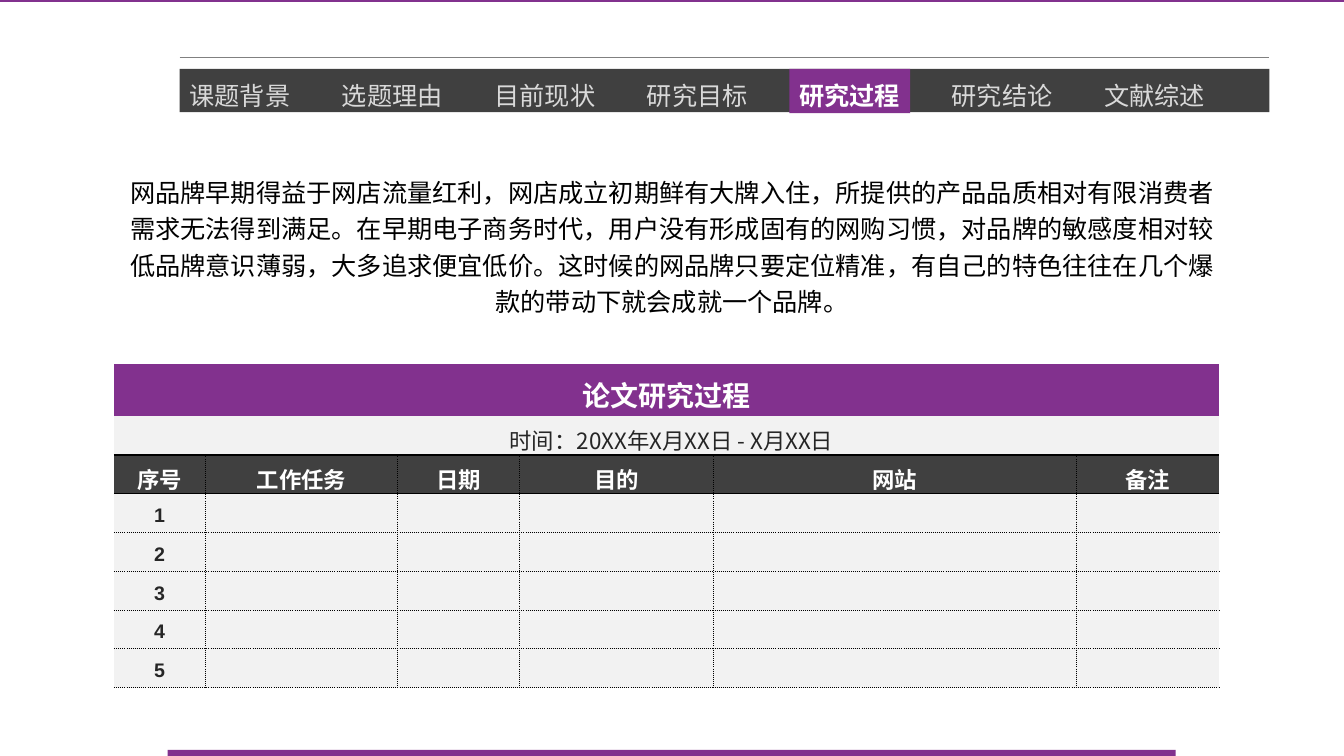
from lxml.etree import SubElement
from pptx import Presentation
from pptx.dml.color import RGBColor
from pptx.enum.shapes import MSO_CONNECTOR, MSO_SHAPE
from pptx.enum.text import MSO_ANCHOR, PP_ALIGN
from pptx.oxml import parse_xml
from pptx.oxml.ns import nsdecls, qn
from pptx.util import Pt

HUES = {"purple": "82318E", "dark": "404040", "pale": "F2F2F2", "rule": "808080",
        "tab": "D9D9D9", "white": "FFFFFF", "ink": "262626", "black": "000000"}
CJK = "Noto Sans CJK JP"
TABS = ["课题背景", "选题理由", "目前现状", "研究目标", "研究过程", "研究结论", "文献综述"]
NOW = "研究过程"
BODY = ("网品牌早期得益于网店流量红利，网店成立初期鲜有大牌入住，所提供的产品品质相对有限消费者"
        "需求无法得到满足。在早期电子商务时代，用户没有形成固有的网购习惯，对品牌的敏感度相对较"
        "低品牌意识薄弱，大多追求便宜低价。这时候的网品牌只要定位精准，有自己的特色往往在几个爆"
        "款的带动下就会成就一个品牌。")
HEADS = ["序号", "工作任务", "日期", "目的", "网站", "备注"]
WIDTHS = [65.2, 137.4, 87.1, 138.4, 259.5, 101.6]
DOT, BOLD = (0.5, "sysDot"), (1, "solid")


def rgb(name):
    """Return the colour held under a name."""
    return RGBColor.from_string(HUES[name])


def write(frame, text, size=18, hue="black", bold=False, font="Arial"):
    """Put one centred paragraph into a text frame."""
    para = frame.paragraphs[0]
    para.alignment = PP_ALIGN.CENTER
    para.line_spacing = 1.2
    run = para.add_run()
    run.text = text
    run.font.size = Pt(size)
    run.font.bold = bold
    run.font.color.rgb = rgb(hue)
    run.font.name = font
    SubElement(run._r.get_or_add_rPr(), qn("a:ea"), typeface=CJK)


def edge(cell, **lines):
    """Draw the given cell borders and clear the others."""
    props = cell._tc.get_or_add_tcPr()
    for i, side in enumerate("LRTB"):
        line = lines.get(side)
        if line:
            width, dash = line
            body = (f'<a:solidFill><a:srgbClr val="{HUES["black"]}"/></a:solidFill>'
                    f'<a:prstDash val="{dash}"/>')
        else:
            width, body = 0, "<a:noFill/>"
        props.insert(i, parse_xml(
            f'<a:ln{side} {nsdecls("a")} w="{Pt(width)}">{body}</a:ln{side}>'))


class Page:
    """Hold the slide and the ways to draw on it."""

    def __init__(self, deck):
        """Add a blank slide."""
        self.shapes = deck.slides.add_slide(deck.slide_layouts[6]).shapes

    def bar(self, x, y, w, h, hue):
        """Draw a plain filled rectangle."""
        shape = self.shapes.add_shape(MSO_SHAPE.RECTANGLE, Pt(x), Pt(y), Pt(w), Pt(h))
        shape.shadow.inherit = False
        shape.fill.solid()
        shape.fill.fore_color.rgb = rgb(hue)
        shape.line.fill.background()
        return shape

    def rule(self, x, y, w):
        """Draw a thin level line."""
        line = self.shapes.add_connector(MSO_CONNECTOR.STRAIGHT, Pt(x), Pt(y), Pt(x + w), Pt(y))
        line.line.color.rgb = rgb("rule")
        line.line.width = Pt(0.5)
        SubElement(line._element.spPr, qn("a:effectLst"))

    def label(self, x, y, w, h, text, wrap=True, **style):
        """Add a text box."""
        frame = self.shapes.add_textbox(Pt(x), Pt(y), Pt(w), Pt(h)).text_frame
        frame.word_wrap = wrap
        write(frame, text, **style)

    def tab(self, x, y, w, h, text):
        """Add one entry of the menu, lit up when current."""
        if text == NOW:
            frame = self.bar(x, y, w, h, "purple").text_frame
            frame.word_wrap = False
            frame.vertical_anchor = MSO_ANCHOR.TOP
            write(frame, text, hue="white", bold=True)
        else:
            self.label(x, y, w, h, text, wrap=False, hue="tab")

    def cell(self, cell, back, text="", left=0.7, **style):
        """Fill a table cell and write its text."""
        cell.fill.solid()
        cell.fill.fore_color.rgb = rgb(back)
        cell.vertical_anchor = MSO_ANCHOR.MIDDLE
        cell.margin_left = Pt(left)
        cell.margin_right = cell.margin_top = Pt(0.7)
        cell.margin_bottom = Pt(0)
        if text:
            write(cell.text_frame, text, **style)

    def plan(self, x, y, tall, low, count):
        """Build the work plan table with numbered empty rows."""
        cols, rows = len(WIDTHS), count + 3
        frame = self.shapes.add_table(rows, cols, Pt(x), Pt(y), Pt(sum(WIDTHS)),
                                      Pt(tall + low * (rows - 1)))
        grid = frame.table
        for col, width in zip(grid.columns, WIDTHS):
            col.width = Pt(width)
        for r, row in enumerate(grid.rows):
            row.height = Pt(low if r else tall)
        for r in (0, 1):
            grid.cell(r, 0).merge(grid.cell(r, cols - 1))
        self.cell(grid.cell(0, 0), "purple", "论文研究过程", size=20, hue="white", bold=True)
        self.cell(grid.cell(1, 0), "pale", "时间：20XX年X月XX日 - X月XX日",
                  left=8, size=16, hue="ink", font=CJK)
        for c in range(cols):
            edge(grid.cell(0, c))
            edge(grid.cell(1, c), B=BOLD)
            sides = {"L": DOT if c else None, "R": DOT if c < cols - 1 else None}
            self.cell(grid.cell(2, c), "dark", HEADS[c], size=16, hue="white", bold=True)
            edge(grid.cell(2, c), T=BOLD, B=BOLD, **sides)
            for n in range(1, count + 1):
                spot = grid.cell(n + 2, c)
                self.cell(spot, "pale", "" if c else str(n), size=14, hue="ink", bold=True)
                edge(spot, T=DOT if n > 1 else BOLD, B=DOT, **sides)


def main():
    """Build the slide and save it."""
    deck = Presentation()
    deck.slide_width, deck.slide_height = Pt(960), Pt(540)
    page = Page(deck)
    page.bar(128.4, 49.2, 778.4, 31, "dark")
    page.rule(128.4, 41, 778.4)
    for i, text in enumerate(TABS):
        page.tab(128.2 + 108.9 * i, 49.2, 86.4, 31.7, text)
    page.bar(0, -3.6, 960, 5, "purple")
    page.bar(119.8, 535.7, 720, 4.3, "purple")
    page.plan(81.4, 260, 37.3, 27.7, 5)
    page.label(81.4, 118.8, 797, 110.2, BODY, font=CJK)
    deck.save("out.pptx")


if __name__ == "__main__":
    main()
